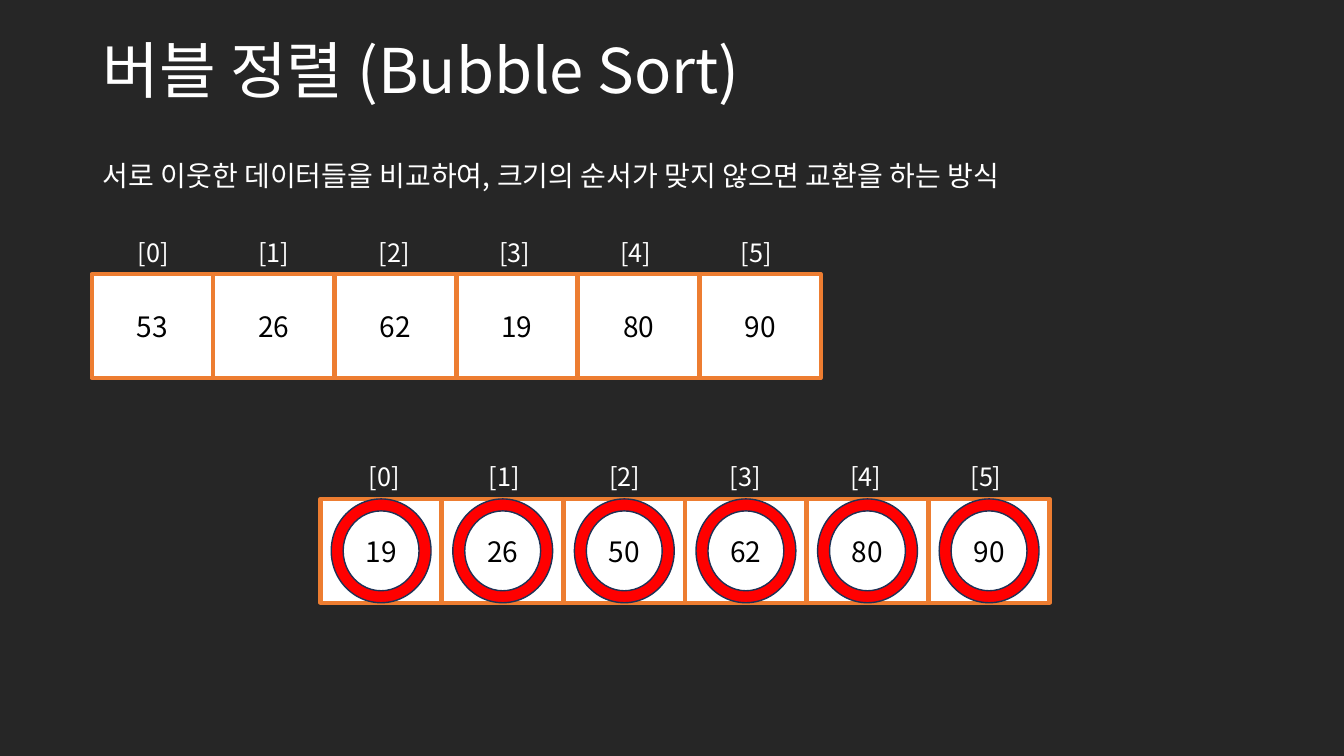
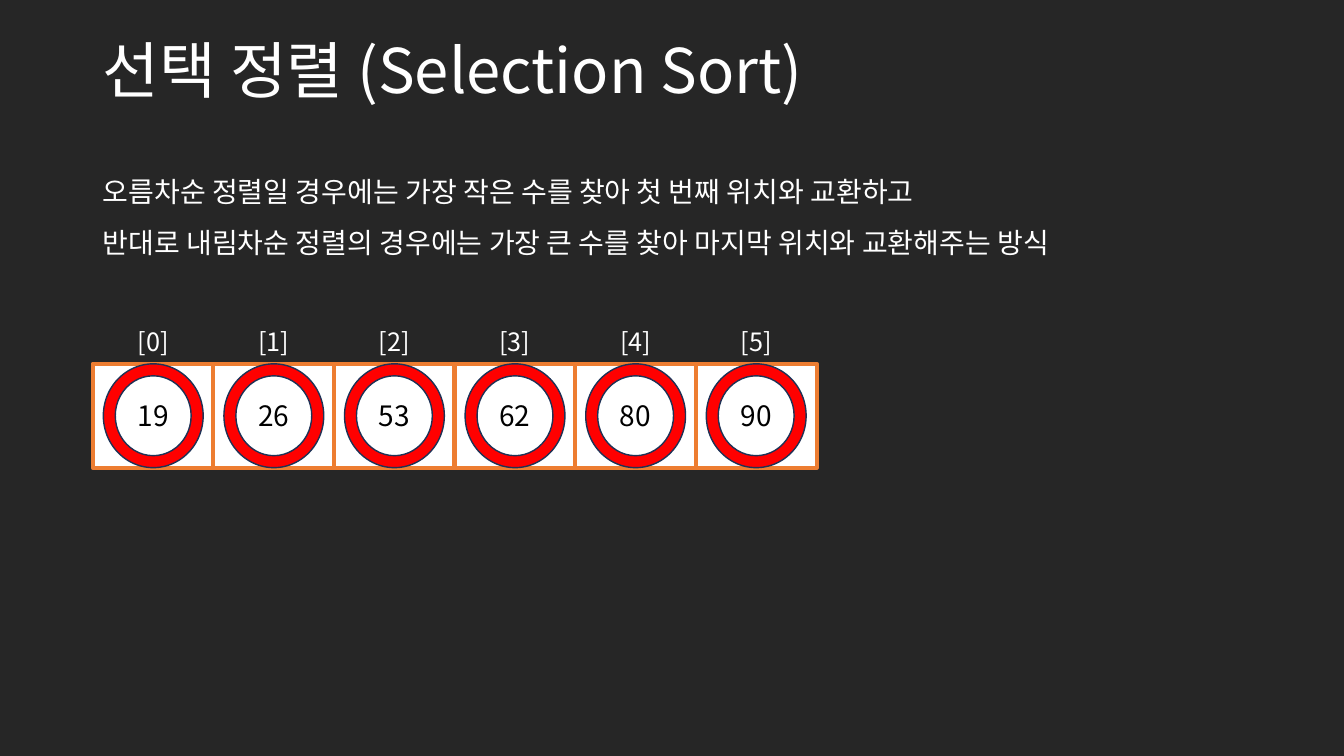
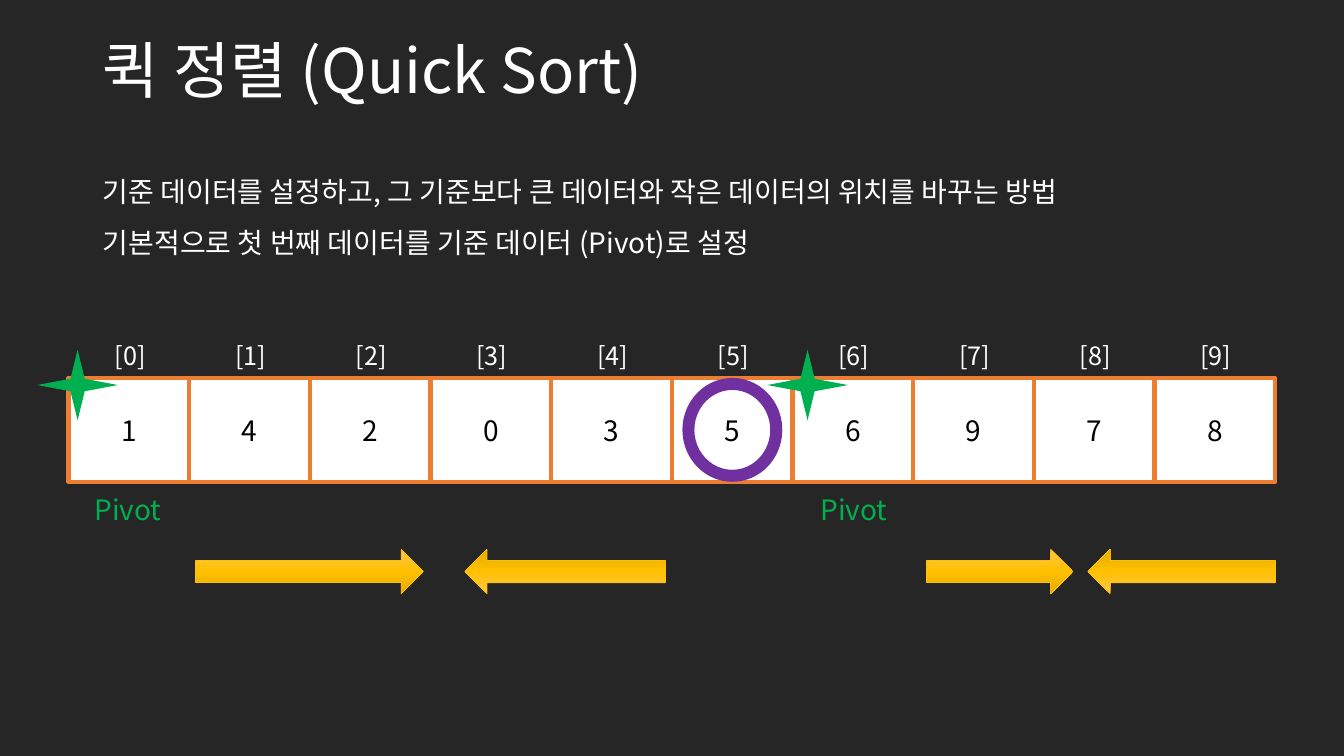
from pptx import Presentation
from pptx.dml.color import RGBColor
from pptx.enum.shapes import MSO_SHAPE
from pptx.enum.text import MSO_ANCHOR, PP_ALIGN
from pptx.oxml import parse_xml
from pptx.oxml.ns import nsdecls, qn
from pptx.util import Inches, Pt

FONT = "Noto Sans CJK KR"
COLORS = {
    "background": "262626", "white": "FFFFFF", "black": "000000",
    "border": "ED7D31", "red": "FF0000", "navy": "1E3256",
    "purple": "7030A0", "green": "00B050",
    "gold_light": "FFC64B", "gold": "FFC000", "gold_dark": "E3AB00",
}
CELL_WIDTH, CELL_HEIGHT = 1.2, 1.03
RING_WIDTH = 0.99
LABEL_WIDTH, LABEL_HEIGHT = 0.94, 0.42
ALL = range(6)

SLIDES = [
    {
        "title": "버블 정렬 (Bubble Sort)",
        "lines": ["서로 이웃한 데이터들을 비교하여, 크기의 순서가 맞지 않으면 교환을 하는 방식"],
        "rows": [
            {"values": [53, 26, 62, 19, 80, 90], "top": 2.72,
             "cells": (0.91, 6.94), "labels": (1.05, 7.03)},
            {"values": [19, 26, 50, 62, 80, 90], "top": 4.95,
             "cells": (3.18, 9.21), "labels": (3.34, 9.31),
             "rings": ALL, "ring_style": ("red", "navy")},
        ],
    },
    {
        "title": "선택 정렬 (Selection Sort)",
        "lines": ["오름차순 정렬일 경우에는 가장 작은 수를 찾아 첫 번째 위치와 교환하고",
                  "반대로 내림차순 정렬의 경우에는 가장 큰 수를 찾아 마지막 위치와 교환해주는 방식"],
        "rows": [
            {"values": [19, 26, 53, 62, 80, 90], "top": 3.61,
             "cells": (0.92, 6.9), "labels": (1.05, 7.03),
             "rings": ALL, "ring_style": ("red", "navy")},
        ],
    },
    {
        "title": "퀵 정렬 (Quick Sort)",
        "lines": ["기준 데이터를 설정하고, 그 기준보다 큰 데이터와 작은 데이터의 위치를 바꾸는 방법",
                  "기본적으로 첫 번째 데이터를 기준 데이터 (Pivot)로 설정"],
        "rows": [
            {"values": [1, 4, 2, 0, 3, 5, 6, 9, 7, 8], "top": 3.75,
             "cells": (0.68, 11.45), "labels": (0.82, 11.59),
             "rings": [5], "ring_style": ("purple", None)},
        ],
        "pivots": [(0.37, 0.67), (7.61, 7.87)],
        "arrows": [(1.94, 2.26, 0), (4.61, 1.99, 180), (9.19, 1.45, 0), (10.79, 1.86, 180)],
    },
]


def rgb(name):
    return RGBColor.from_string(COLORS[name])


def write(frame, lines, size, color, align=PP_ALIGN.LEFT, spacing=None):
    frame.word_wrap = True
    frame.text = "\n".join(lines)
    for para in frame.paragraphs:
        para.alignment = align
        para.line_spacing = spacing
        para.font.size = Pt(size)
        para.font.name = FONT
        para.font.color.rgb = rgb(color)
        defaults = para._p.pPr.find(qn("a:defRPr"))
        defaults.append(parse_xml(f'<a:ea {nsdecls("a")} typeface="{FONT}"/>'))


def add_text(page, at, lines, size, color="white", **style):
    box = page.shapes.add_textbox(*map(Inches, at))
    write(box.text_frame, lines, size, color, **style)


def add_figure(page, kind, at, fill, line=None, width=1):
    shape = page.shapes.add_shape(kind, *map(Inches, at))
    shape.shadow.inherit = False
    shape.fill.solid()
    shape.fill.fore_color.rgb = rgb(fill)
    if line:
        shape.line.color.rgb = rgb(line)
        shape.line.width = Pt(width)
    else:
        shape.line.fill.background()
    return shape


def spread(ends, count):
    first, last = ends
    return [first + i * (last - first) / (count - 1) for i in range(count)]


def add_row(page, row):
    top, values = row["top"], row["values"]
    lefts = spread(row["cells"], len(values))
    for left, value in zip(lefts, values):
        cell = add_figure(page, MSO_SHAPE.RECTANGLE, (left, top, CELL_WIDTH, CELL_HEIGHT),
                          "white", "border", 3)
        cell.text_frame.vertical_anchor = MSO_ANCHOR.MIDDLE
        write(cell.text_frame, [str(value)], 20, "black", PP_ALIGN.CENTER)
    for i, left in enumerate(spread(row["labels"], len(values))):
        add_text(page, (left, top - LABEL_HEIGHT, LABEL_WIDTH, LABEL_HEIGHT),
                 [f"[{i}]"], 18, align=PP_ALIGN.CENTER)
    for i in row.get("rings", []):
        left = lefts[i] + (CELL_WIDTH - RING_WIDTH) / 2
        ring = add_figure(page, MSO_SHAPE.DONUT, (left, top, RING_WIDTH, CELL_HEIGHT),
                          *row["ring_style"])
        ring.adjustments[0] = 0.12


def add_arrow(page, left, width, rotation):
    arrow = add_figure(page, MSO_SHAPE.RIGHT_ARROW, (left, 5.45, width, 0.44),
                       "gold", "gold", 0.5)
    arrow.rotation = rotation
    arrow.fill.gradient()
    arrow.fill.gradient_angle = 270
    stops = arrow._element.spPr.find(qn("a:gradFill")).find(qn("a:gsLst"))
    for stop in list(stops):
        stops.remove(stop)
    for position, name in [(0, "gold_light"), (50, "gold"), (100, "gold_dark")]:
        stops.append(parse_xml(
            f'<a:gs {nsdecls("a")} pos="{position * 1000}">'
            f'<a:srgbClr val="{COLORS[name]}"/></a:gs>'))


def add_page(deck, content):
    page = deck.slides.add_slide(deck.slide_layouts[5])
    title = page.shapes.title
    title.left, title.top, title.width, title.height = map(Inches, (0.92, 0.18, 11.5, 1.09))
    title.text_frame.vertical_anchor = MSO_ANCHOR.MIDDLE
    write(title.text_frame, [content["title"]], 44, "white", spacing=0.9)
    lines = content["lines"]
    single = len(lines) == 1
    add_text(page, (0.92, 1.52, 11.5, 0.44 if single else 1.07), lines, 20,
             spacing=None if single else 1.5)
    for row in content["rows"]:
        add_row(page, row)
    for star_left, label_left in content.get("pivots", []):
        add_figure(page, MSO_SHAPE.STAR_4_POINT, (star_left, 3.47, 0.8, 0.7), "green")
        add_text(page, (label_left, 4.84, 1.2, 0.44), ["Pivot"], 20, "green",
                 align=PP_ALIGN.CENTER)
    for arrow in content.get("arrows", []):
        add_arrow(page, *arrow)


def main():
    deck = Presentation()
    deck.slide_width, deck.slide_height = Inches(13.33), Inches(7.5)
    backdrop = deck.slide_master.background.fill
    backdrop.solid()
    backdrop.fore_color.rgb = rgb("background")
    for content in SLIDES:
        add_page(deck, content)
    deck.save("out.pptx")


if __name__ == "__main__":
    main()
